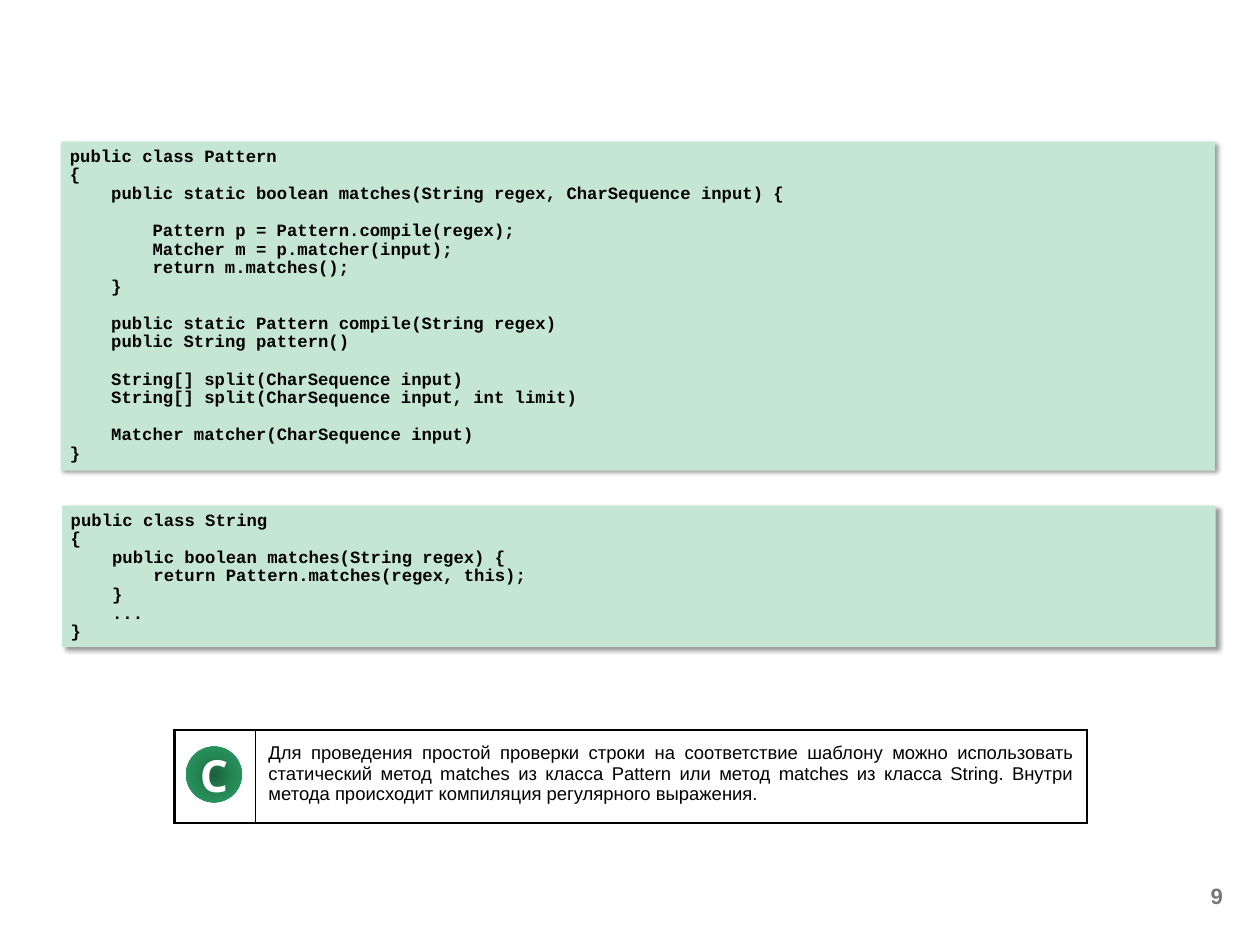
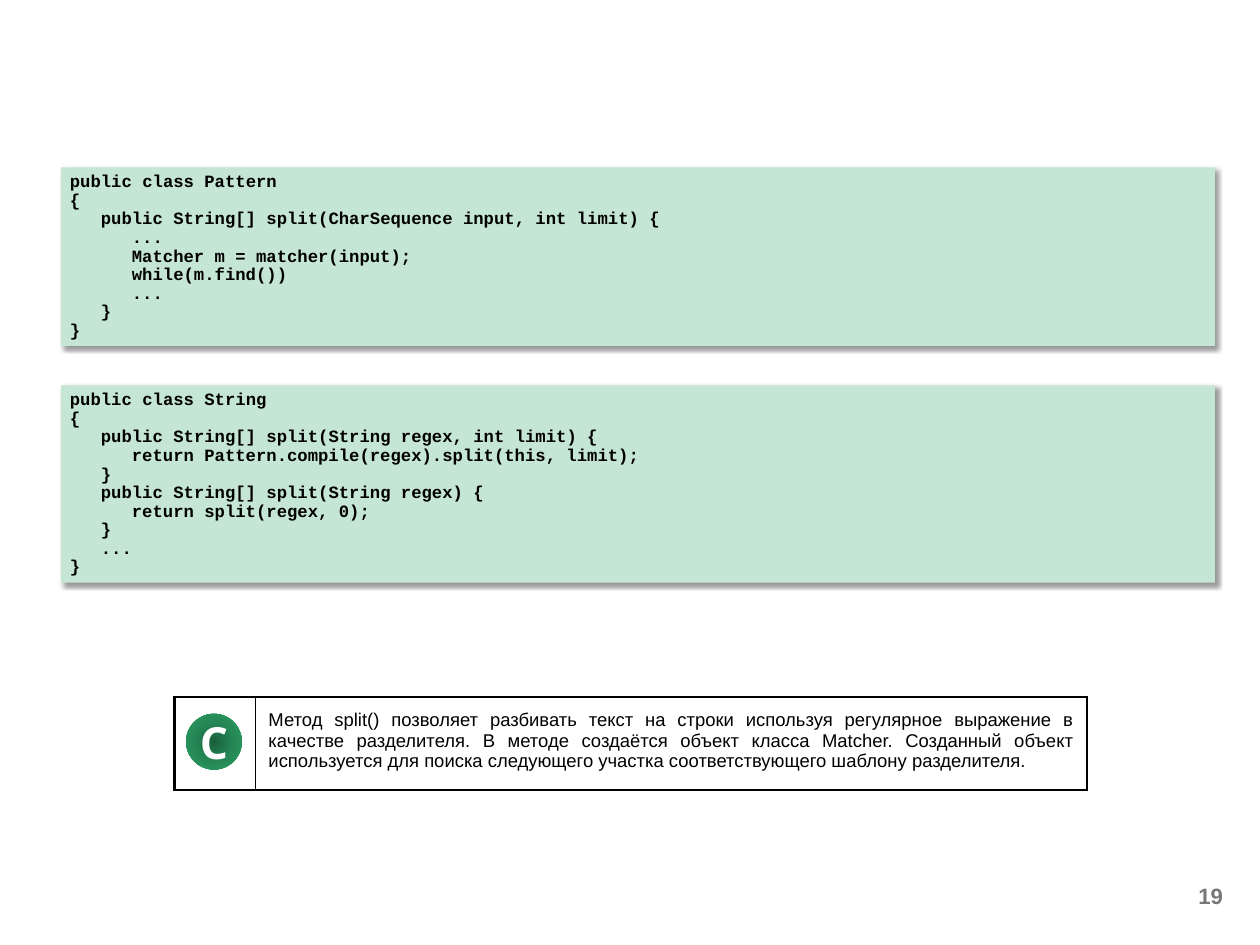
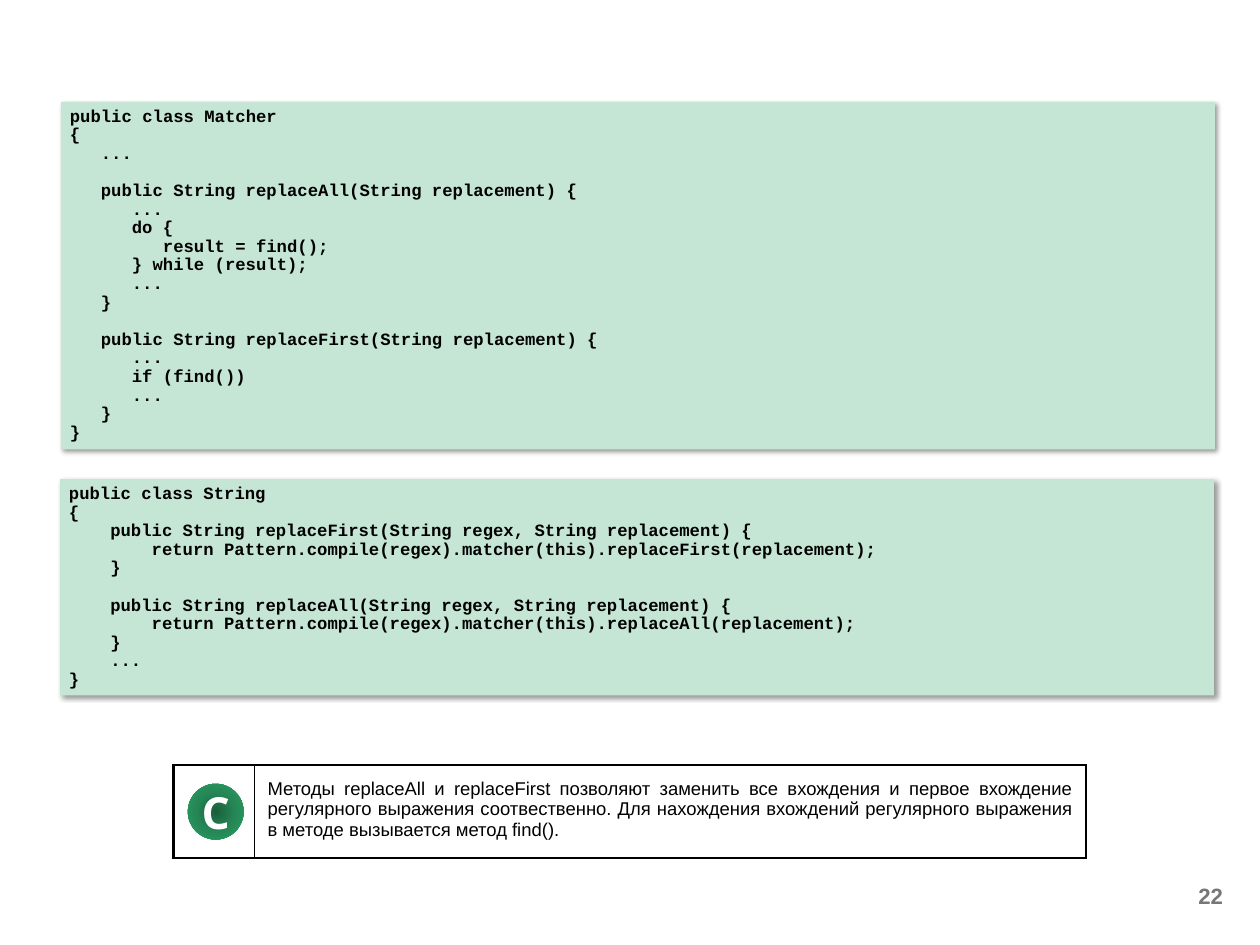
import pptx
import pptx.dml.color
import pptx.enum.shapes
import pptx.enum.text
import pptx.oxml
import pptx.oxml.ns
import pptx.util

Inches, Pt = pptx.util.Inches, pptx.util.Pt
PP_ALIGN = pptx.enum.text.PP_ALIGN
MSO_ANCHOR = pptx.enum.text.MSO_ANCHOR
MSO_SHAPE = pptx.enum.shapes.MSO_SHAPE
NS = pptx.oxml.ns.nsdecls("a")

BLACK, WHITE, GREY, MINT = "000000", "FFFFFF", "777777", "C5E5D5"
BADGE_STOPS = [(0, "1A5F3C"), (50, "258756"), (100, "2BA166")]

CODE_SIZE = 14
CODE_CHAR = Pt(CODE_SIZE * 0.6)   # advance of one monospaced character
CODE_PITCH = 15.12                # points from line to line
CODE_WIDTH = 13.02
NOTE_COLS, NOTE_HEIGHT = (0.91, 9.39), 1.05
THICK, THIN = 2.25, 0.5

SLIDES = [
    {
        "number": 9,
        "code": [
            ((0.69, 1.6), """public class Pattern
{
    public static boolean matches(String regex, CharSequence input) {

        Pattern p = Pattern.compile(regex);
        Matcher m = p.matcher(input);
        return m.matches();
    }

    public static Pattern compile(String regex)
    public String pattern()

    String[] split(CharSequence input)
    String[] split(CharSequence input, int limit)

    Matcher matcher(CharSequence input)
}"""),
            ((0.7, 5.71), """public class String
{
    public boolean matches(String regex) {
        return Pattern.matches(regex, this);
    }
    ...
}"""),
        ],
        "note_at": (1.97, 8.24),
        "badge_at": (2.1, 8.43),
        "note": ["Для проведения простой проверки строки на соответствие шаблону можно "
                 "использовать статический метод matches из класса Pattern или метод "
                 "matches из класса String. Внутри метода происходит компиляция "
                 "регулярного выражения."],
    },
    {
        "number": 19,
        "code": [
            ((0.69, 1.89), """public class Pattern
{
   public String[] split(CharSequence input, int limit) {
      ...
      Matcher m = matcher(input);
      while(m.find())
      ...
   }
}"""),
            ((0.69, 4.35), """public class String
{
   public String[] split(String regex, int limit) {
      return Pattern.compile(regex).split(this, limit);
   }
   public String[] split(String regex) {
      return split(regex, 0);
   }
   ...
}"""),
        ],
        "note_at": (1.97, 7.87),
        "badge_at": (2.1, 8.06),
        "note": ["Метод split() позволяет разбивать текст на строки используя регулярное "
                 "выражение в качестве разделителя. В методе создаётся объект класса "
                 "Matcher. Созданный объект используется для поиска следующего участка "
                 "соответствующего шаблону разделителя."],
    },
    {
        "number": 22,
        "code": [
            ((0.69, 1.15), """public class Matcher
{
   ...

   public String replaceAll(String replacement) {
      ...
      do {
         result = find();
      } while (result);
      ...
   }

   public String replaceFirst(String replacement) {
      ...
      if (find())
      ...
   }
}"""),
            ((0.68, 5.41), """public class String
{
    public String replaceFirst(String regex, String replacement) {
        return Pattern.compile(regex).matcher(this).replaceFirst(replacement);
    }

    public String replaceAll(String regex, String replacement) {
        return Pattern.compile(regex).matcher(this).replaceAll(replacement);
    }
    ...
}"""),
        ],
        "note_at": (1.96, 8.64),
        "badge_at": (2.12, 8.85),
        "note": ["Методы replaceAll и replaceFirst позволяют заменить все вхождения и первое "
                 "вхождение регулярного выражения соотвественно. Для нахождения вхождений "
                 "регулярного выражения",
                 "в методе вызывается метод find()."],
    },
]


def color(value):
    return pptx.dml.color.RGBColor.from_string(value)


def add_run(p, text, font, size, fill, bold=False):
    r = p.add_run()
    r.text = text
    r.font.name, r.font.size, r.font.bold = font, Pt(size), bold
    r.font.color.rgb = color(fill)


def set_margins(frame, left, top, right, bottom):
    """Set the inner margins, in inches, of a text frame or a cell."""
    frame.margin_left, frame.margin_top = Inches(left), Inches(top)
    frame.margin_right, frame.margin_bottom = Inches(right), Inches(bottom)


def add_code(s, at, source):
    """Code panel: blank lines become space before, leading spaces an indent."""
    lines = source.split("\n")
    height = Pt(15.26) * len(lines) + Inches(0.11)
    sp = s.shapes.add_shape(MSO_SHAPE.RECTANGLE, Inches(at[0]), Inches(at[1]),
                            Inches(CODE_WIDTH), height)
    sp.fill.solid()
    sp.fill.fore_color.rgb = color(MINT)
    sp.line.fill.background()
    sp._element.spPr.append(pptx.oxml.parse_xml(
        f'<a:effectLst {NS}><a:outerShdw blurRad="{Pt(4)}" dist="{Pt(3)}" dir="{45 * 60000}" '
        f'algn="tl" rotWithShape="0"><a:srgbClr val="{BLACK}"><a:alpha val="40000"/>'
        '</a:srgbClr></a:outerShdw></a:effectLst>'))
    tf = sp.text_frame
    tf.word_wrap, tf.vertical_anchor = True, MSO_ANCHOR.TOP
    set_margins(tf, 0.1, 0.06, 0.1, 0.05)
    p, gap = tf.paragraphs[0], 0
    for i, line in enumerate(lines):
        text = line.lstrip()
        if not text:
            gap += CODE_PITCH
            continue
        if i:
            p = tf.add_paragraph()
        p.alignment = PP_ALIGN.LEFT
        p.line_spacing, p.space_before = Pt(CODE_PITCH), Pt(gap)
        pPr = p._p.get_or_add_pPr()
        pPr.set("marL", str(CODE_CHAR * (len(line) - len(text))))
        pPr.set("indent", "0")
        add_run(p, text, "Courier New", CODE_SIZE, BLACK, True)
        gap = 0


def set_borders(cell, **widths):
    tcPr = cell._tc.get_or_add_tcPr()
    for i, side in enumerate("LRTB"):
        tcPr.insert(i, pptx.oxml.parse_xml(
            f'<a:ln{side} {NS} w="{Pt(widths[side])}"><a:solidFill><a:srgbClr val="{BLACK}"/>'
            f'</a:solidFill></a:ln{side}>'))


def add_note(s, at, parts):
    table = s.shapes.add_table(1, 2, Inches(at[0]), Inches(at[1]),
                               Inches(sum(NOTE_COLS)), Inches(NOTE_HEIGHT)).table
    table.first_row = table.horz_banding = False
    for column, width in zip(table.columns, NOTE_COLS):
        column.width = Inches(width)
    badge_cell, text_cell = table.cell(0, 0), table.cell(0, 1)
    for cell in (badge_cell, text_cell):
        cell.fill.solid()
        cell.fill.fore_color.rgb = color(WHITE)
    set_borders(badge_cell, L=THICK, R=THIN, T=THICK, B=THICK)
    set_borders(text_cell, L=THIN, R=THICK, T=THICK, B=THICK)
    set_margins(text_cell, 0.15, 0.15, 0.15, 0.15)
    p = text_cell.text_frame.paragraphs[0]
    p.alignment = PP_ALIGN.JUSTIFY
    for i, part in enumerate(parts):
        if i:
            p.add_line_break()
        add_run(p, part, "Arial", 15, BLACK)


def add_badge(s, at):
    sp = s.shapes.add_shape(MSO_SHAPE.OVAL, Inches(at[0]), Inches(at[1]),
                            Inches(0.63), Inches(0.63))
    sp.shadow.inherit = False
    sp.line.fill.background()
    stops = "".join(f'<a:gs pos="{pos * 1000}"><a:srgbClr val="{value}"/></a:gs>'
                    for pos, value in BADGE_STOPS)
    sp._element.spPr.find(pptx.oxml.ns.qn("a:prstGeom")).addnext(pptx.oxml.parse_xml(
        f'<a:gradFill {NS} rotWithShape="1"><a:gsLst>{stops}</a:gsLst><a:path path="circle">'
        '<a:fillToRect l="50000" t="50000" r="50000" b="50000"/></a:path></a:gradFill>'))
    tf = sp.text_frame
    tf.word_wrap, tf.vertical_anchor = True, MSO_ANCHOR.MIDDLE
    set_margins(tf, 0, 0, 0, 0)
    p = tf.paragraphs[0]
    p.alignment = PP_ALIGN.CENTER
    add_run(p, "C", "Open Sans", 36, WHITE, True)


def add_number(s, number):
    tf = s.shapes.add_textbox(Inches(10.58), Inches(9.85), Inches(3.32), Inches(0.53)).text_frame
    tf.word_wrap, tf.vertical_anchor = True, MSO_ANCHOR.MIDDLE
    p = tf.paragraphs[0]
    p.alignment = PP_ALIGN.RIGHT
    add_run(p, str(number), "Arial", 18, GREY, True)


def main():
    prs = pptx.Presentation()
    prs.slide_width, prs.slide_height = Inches(14.22), Inches(10.67)
    for content in SLIDES:
        s = prs.slides.add_slide(prs.slide_layouts[6])
        add_number(s, content["number"])
        for at, source in content["code"]:
            add_code(s, at, source)
        add_note(s, content["note_at"], content["note"])
        add_badge(s, content["badge_at"])
    prs.save("out.pptx")


if __name__ == "__main__":
    main()
